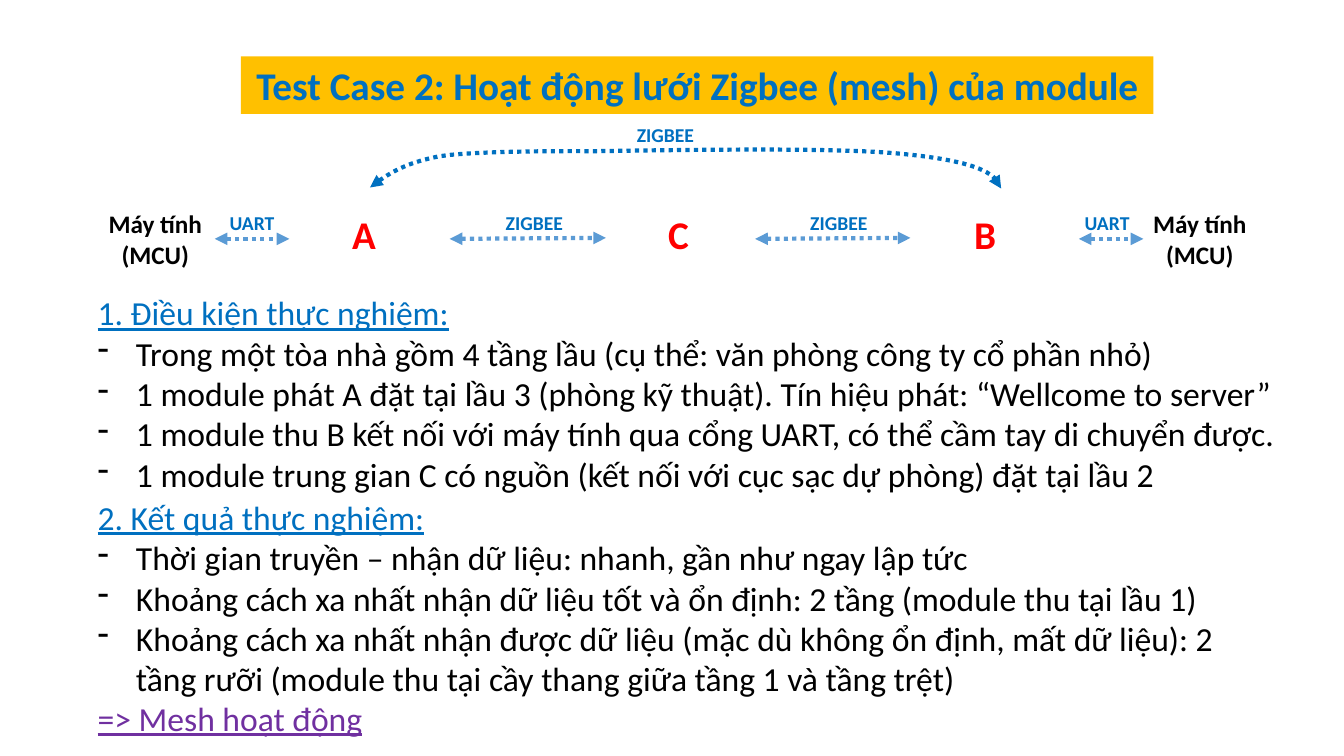
from lxml import etree
from pptx import Presentation
from pptx import util as u
from pptx.dml.color import RGBColor
from pptx.enum import dml, shapes, text
from pptx.oxml.ns import qn

FONT = "Calibri"
BLUE, LIGHT_BLUE, RED = "0070C0", "5B9BD5", "FF0000"
BLACK, PURPLE, AMBER = "000000", "7030A0", "FFC000"
HANG = 0.38

TITLE = "Test Case 2: Hoạt động lưới Zigbee (mesh) của module"
CONDITIONS = [
    "Trong một tòa nhà gồm 4 tầng lầu (cụ thể: văn phòng công ty cổ phần nhỏ)",
    "1 module phát A đặt tại lầu 3 (phòng kỹ thuật). Tín hiệu phát: “Wellcome to server”",
    "1 module thu B kết nối với máy tính qua cổng UART, có thể cầm tay di chuyển được.",
    "1 module trung gian C có nguồn (kết nối với cục sạc dự phòng) đặt tại lầu 2",
]
RESULTS = [
    "Thời gian truyền – nhận dữ liệu: nhanh, gần như ngay lập tức",
    "Khoảng cách xa nhất nhận dữ liệu tốt và ổn định: 2 tầng (module thu tại lầu 1)",
    "Khoảng cách xa nhất nhận được dữ liệu (mặc dù không ổn định, mất dữ liệu): "
    "2 tầng rưỡi (module thu tại cầy thang giữa tầng 1 và tầng trệt)",
]


def rgb(value):
    return RGBColor.from_string(value)


def place(shape, left, top, width, height):
    shape.left, shape.top = u.Inches(left), u.Inches(top)
    shape.width, shape.height = u.Inches(width), u.Inches(height)


def write(paragraph, words, size=24, color=BLACK, bold=False, underline=False,
          align=text.PP_ALIGN.LEFT, dash=False):
    paragraph.text = words
    paragraph.alignment = align
    if dash:
        props = paragraph._p.get_or_add_pPr()
        props.set("marL", str(u.Inches(HANG)))
        props.set("indent", str(-u.Inches(HANG)))
        etree.SubElement(props, qn("a:buFontTx"))
        etree.SubElement(props, qn("a:buChar"), char="-")
    for run in paragraph.runs:
        run.font.name, run.font.size = FONT, u.Pt(size)
        run.font.bold, run.font.underline = bold, underline
        run.font.color.rgb = rgb(color)


def add_box(slide, left, top, width, height, wrap=True):
    box = slide.shapes.add_textbox(*map(u.Inches, (left, top, width, height)))
    box.text_frame.word_wrap = wrap
    box.text_frame.auto_size = text.MSO_AUTO_SIZE.SHAPE_TO_FIT_TEXT
    return box.text_frame


def add_label(slide, center, top, width, height, words, **style):
    frame = add_box(slide, center - width / 2, top, width, height, wrap=False)
    write(frame.paragraphs[0], words, bold=True, align=text.PP_ALIGN.CENTER, **style)


def dot_with_arrows(shape, color):
    """Dotted line with a triangle at both ends."""
    shape.line.color.rgb = rgb(color)
    shape.line.width = u.Pt(3)
    shape.line.dash_style = dml.MSO_LINE.ROUND_DOT
    outline = shape._element.spPr.find(qn("a:ln"))
    for end in ("a:headEnd", "a:tailEnd"):
        etree.SubElement(outline, qn(end), type="triangle")


def add_link(slide, x1, y1, x2, y2):
    link = slide.shapes.add_connector(
        shapes.MSO_CONNECTOR.STRAIGHT, *map(u.Inches, (x1, y1, x2, y2)))
    dot_with_arrows(link, LIGHT_BLUE)
    etree.SubElement(link._element.spPr, qn("a:effectLst"))


def curve_points(start, curves, steps=12):
    """Points along a chain of cubic curves."""
    points = [start]
    for c1, c2, end in curves:
        for step in range(1, steps + 1):
            t = step / steps
            weights = ((1 - t) ** 3, 3 * t * (1 - t) ** 2, 3 * t * t * (1 - t), t ** 3)
            points.append(tuple(
                sum(w * p[axis] for w, p in zip(weights, (start, c1, c2, end)))
                for axis in (0, 1)))
        start = end
    return points


def add_title(slide, left, top, width, height):
    title = slide.shapes.title
    place(title, left, top, width, height)
    title.fill.solid()
    title.fill.fore_color.rgb = rgb(AMBER)
    frame = title.text_frame
    frame.word_wrap = False
    frame.auto_size = text.MSO_AUTO_SIZE.NONE
    frame.vertical_anchor = text.MSO_ANCHOR.MIDDLE
    write(frame.paragraphs[0], TITLE, size=28, color=BLUE, bold=True,
          align=text.PP_ALIGN.CENTER)


def add_mesh_diagram(slide, left, top):
    row = top + 0.87
    # Modules
    for name, center in (("A", 2.74), ("C", 5.86), ("B", 8.9)):
        add_label(slide, left + center, row, 0.43, 0.57, name, size=28, color=RED)
    # Computers
    for center in (0.67, 11.03):
        add_label(slide, left + center, row - 0.02, 1.14, 0.71,
                  "Máy tính\v(MCU)", size=18)
    # Links along the row
    for name, center, start, end, rise in (
            ("UART", 1.63, 1.26, 2, 0), ("ZIGBEE", 4.43, 3.59, 5.14, 0.01),
            ("ZIGBEE", 7.45, 6.62, 8.16, 0.01), ("UART", 10.11, 9.83, 10.47, 0)):
        add_label(slide, left + center, row, 0.78, 0.34, name, size=14, color=BLUE)
        add_link(slide, left + start, row + 0.33, left + end, row + 0.33 - rise)
    # Direct link from A to B
    arc = curve_points((2.8, 0.69), [
        ((2.96, 0.57), (3.12, 0.45), (3.49, 0.38)),
        ((3.86, 0.32), (5.01, 0.33), (5.01, 0.33)),
        ((5.76, 0.32), (7.33, 0.29), (8.01, 0.35)),
        ((8.68, 0.41), (9.01, 0.51), (9.06, 0.7))])
    points = [(u.Inches(left + x), u.Inches(top + y)) for x, y in arc]
    builder = slide.shapes.build_freeform(*points[0])
    builder.add_line_segments(points[1:], close=False)
    direct_link = builder.convert_to_shape()
    direct_link.fill.background()
    direct_link.shadow.inherit = False
    dot_with_arrows(direct_link, BLUE)
    add_label(slide, left + 5.73, top, 0.78, 0.34, "ZIGBEE", size=14, color=BLUE)


def add_section(slide, left, top, width, height, heading, items):
    frame = add_box(slide, left, top, width, height)
    write(frame.paragraphs[0], heading, color=BLUE, underline=True)
    for item in items:
        write(frame.add_paragraph(), item, dash=True)


def add_conclusion(slide, left, top, width, height):
    frame = add_box(slide, left, top, width, height)
    write(frame.paragraphs[0], "=> Mesh hoạt động", color=PURPLE, underline=True)


def main():
    deck = Presentation()
    deck.slide_width, deck.slide_height = u.Inches(13.33), u.Inches(7.5)
    slide = deck.slides.add_slide(deck.slide_layouts[5])
    add_title(slide, 2.39, 0.56, 9.05, 0.57)
    add_mesh_diagram(slide, 0.87, 1.17)
    add_section(slide, 0.87, 2.85, 12.09, 2.12, "1. Điều kiện thực nghiệm:", CONDITIONS)
    add_section(slide, 0.87, 4.88, 11.72, 2.12, "2. Kết quả thực nghiệm:", RESULTS)
    add_conclusion(slide, 0.87, 6.87, 11.72, 0.5)
    deck.save("out.pptx")


if __name__ == "__main__":
    main()
